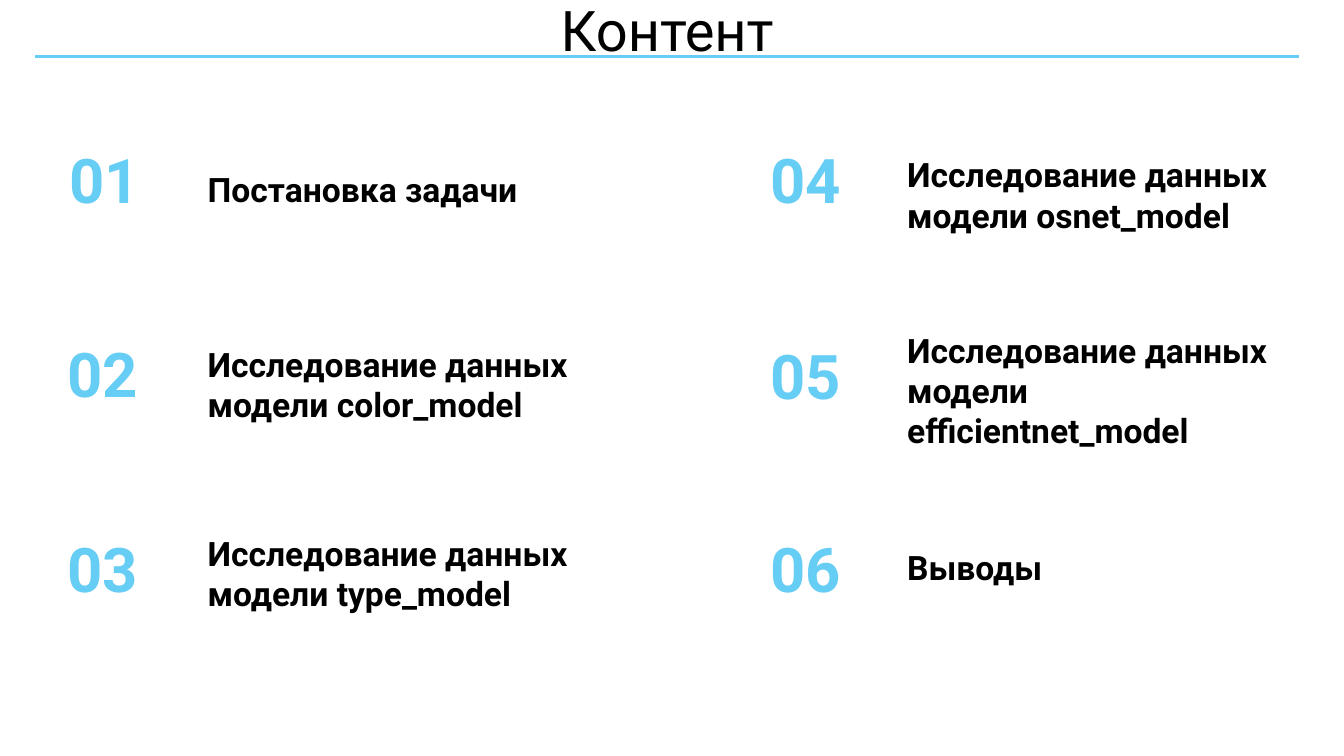
from lxml import etree
from pptx import Presentation
from pptx.dml.color import RGBColor
from pptx.enum import shapes, text
from pptx.oxml import ns
from pptx.util import Pt

BLACK = RGBColor(0x00, 0x00, 0x00)
WHITE = RGBColor(0xFF, 0xFF, 0xFF)
SKY = RGBColor(0x66, 0xCD, 0xF5)
FONT = "Roboto"
INSET = 9.36
NUMBER_W, NUMBER_H = 70.56, 59.76
ROW_STEP = 138.96

# number, number shift (x, y), text shift y, text width, text height, wording
LEFT_TOPICS = [
    ("01", 1.44, 0, 4.3, 272.9, 51.1, "Постановка задачи"),
    ("02", 0, 0, -10.1, 341.3, 79.9, "Исследование данных модели color_model"),
    ("03", 0, 0, -21, 304.6, 87.1, "Исследование данных модели type_model"),
]
RIGHT_TOPICS = [
    ("04", 0, 0, -13.7, 304.6, 87.1, "Исследование данных модели osnet_model"),
    ("05", 0, 1.44, 1.4, 304.6, 87.1, "Исследование данных модели efficientnet_model"),
    ("06", 0, 0, -2.2, 149, 49.7, "Выводы"),
]


def write(s, wording, size, color, bold, align):
    tf = s.text_frame
    tf.word_wrap = True
    tf.auto_size = text.MSO_AUTO_SIZE.NONE
    tf.vertical_anchor = text.MSO_ANCHOR.BOTTOM
    tf.margin_left = tf.margin_right = Pt(INSET)
    tf.margin_top = tf.margin_bottom = Pt(INSET)
    p = tf.paragraphs[0]
    p.alignment = align
    r = p.add_run()
    r.text = wording
    r.font.name = FONT
    r.font.size = Pt(size)
    r.font.bold = bold
    r.font.color.rgb = color


def add_header(slide, left, top, width, height):
    title = slide.shapes.title
    title.left, title.top = Pt(left), Pt(top)
    title.width, title.height = Pt(width), Pt(height)
    write(title, "Контент", 40, BLACK, False, text.PP_ALIGN.CENTER)
    y = Pt(top + 36)
    rule = slide.shapes.add_connector(
        shapes.MSO_CONNECTOR.STRAIGHT, Pt(left - 4.3), y, Pt(left + width + 4.3), y)
    rule.line.color.rgb = SKY
    rule.line.width = Pt(2.25)
    etree.SubElement(rule._element.spPr, ns.qn("a:effectLst"))


def add_topics(slide, left, top, text_offset, topics):
    for row, (number, dx, dy, text_dy, width, height, wording) in enumerate(topics):
        y = top + row * ROW_STEP
        badge = slide.shapes.add_shape(
            shapes.MSO_SHAPE.RECTANGLE,
            Pt(left + dx), Pt(y + dy), Pt(NUMBER_W), Pt(NUMBER_H))
        badge.shadow.inherit = False
        badge.fill.solid()
        badge.fill.fore_color.rgb = WHITE
        badge.line.fill.background()
        write(badge, number, 44, SKY, True, text.PP_ALIGN.CENTER)
        label = slide.shapes.add_textbox(
            Pt(left + text_offset), Pt(y + text_dy), Pt(width), Pt(height))
        write(label, wording, 24, BLACK, True, text.PP_ALIGN.LEFT)


def main():
    prs = Presentation()
    prs.slide_width, prs.slide_height = Pt(960), Pt(540)
    slide = prs.slides.add_slide(prs.slide_layouts.get_by_name("Title Only"))
    add_header(slide, 29.5, 4.3, 894.2, 49.7)
    add_topics(slide, 38.16, 103.68, 100.8, LEFT_TOPICS)
    add_topics(slide, 540, 103.68, 98.64, RIGHT_TOPICS)
    prs.save("out.pptx")


if __name__ == "__main__":
    main()
